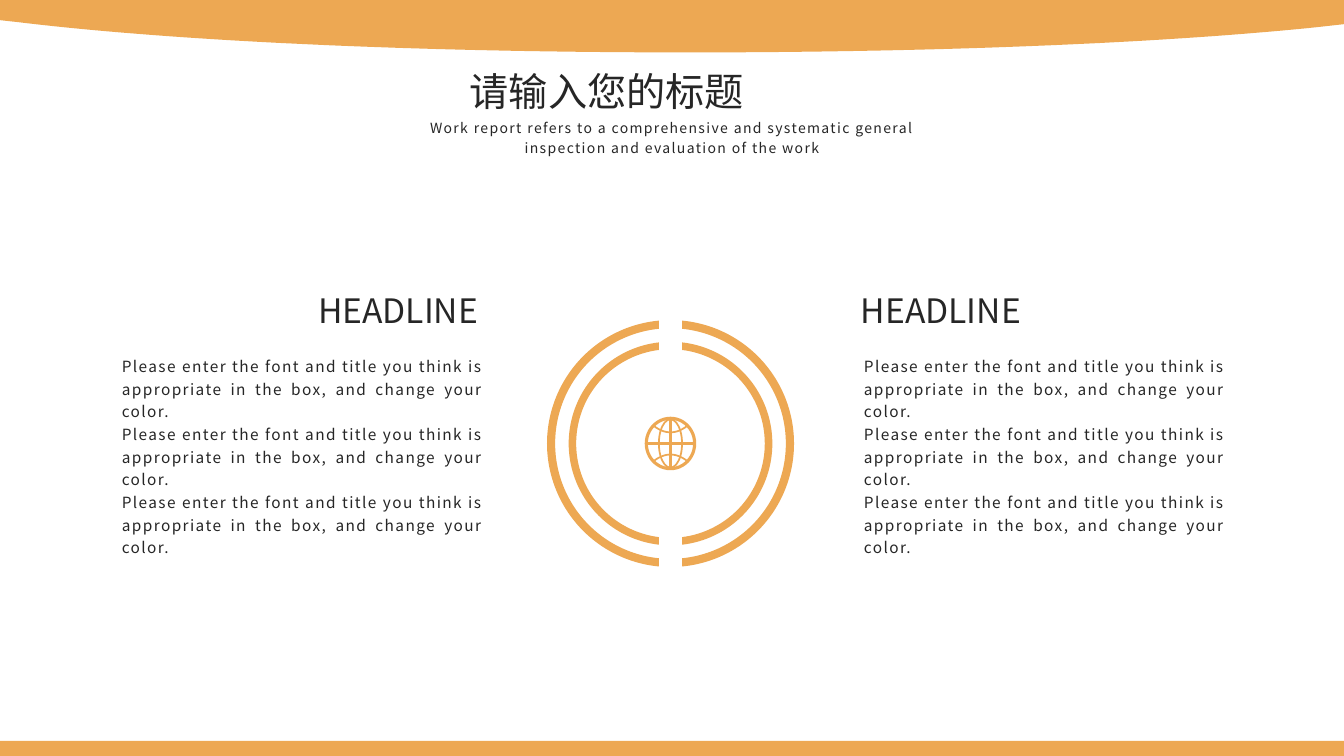
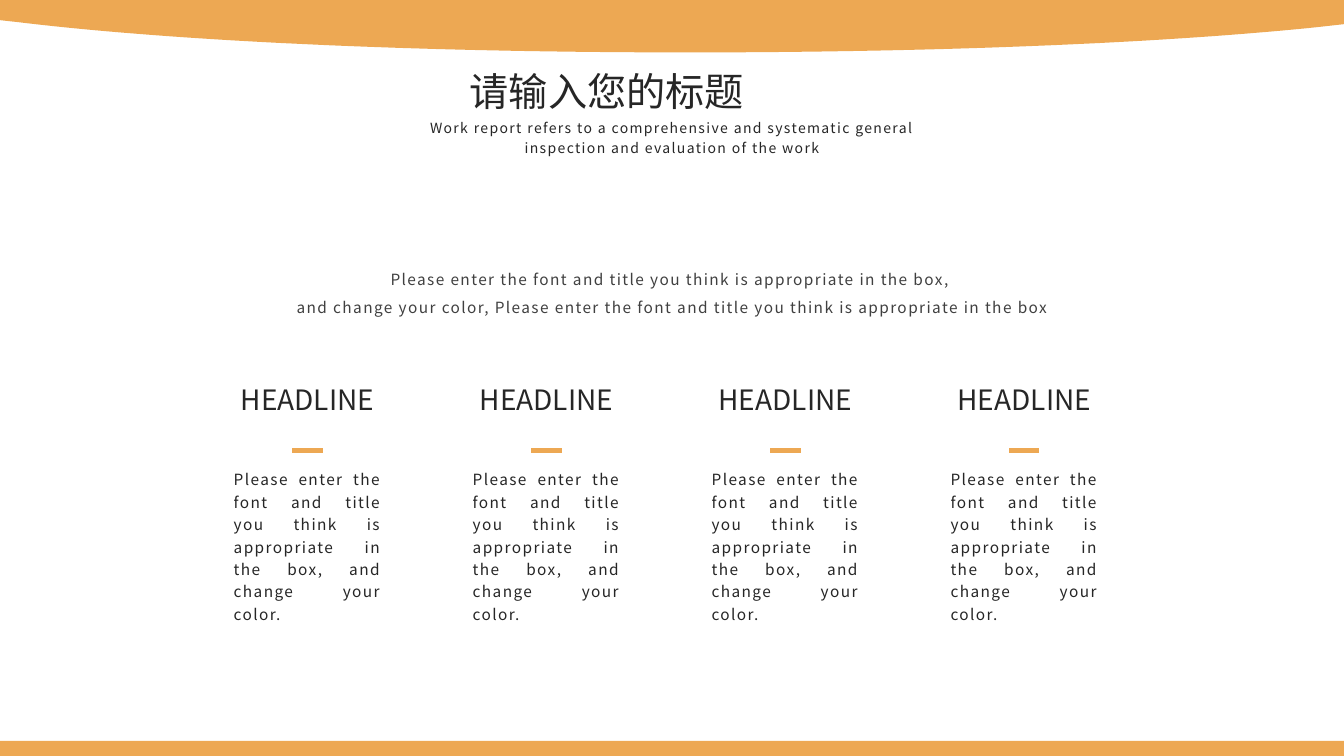
"""Build two orange-banded slides: a ringed globe between two texts, and four headline columns."""
from lxml.etree import SubElement
from pptx import Presentation
from pptx.dml.color import RGBColor
from pptx.enum.shapes import MSO_CONNECTOR, MSO_SHAPE
from pptx.enum.text import MSO_ANCHOR, MSO_AUTO_SIZE, PP_ALIGN
from pptx.oxml.ns import qn
from pptx.util import Inches, Pt

ORANGE = "EDA853"
DARK = "262626"
GREY = "404040"
WHITE = "FFFFFF"
FONT = "Noto Sans CJK SC"
WIDTH, HEIGHT = 13.33, 7.5
BODY = "Please enter the font and title you think is appropriate in the box, and change your color."


def write_text(shape, place, lines, size, alignment, line_height=None, color=DARK):
    """Place a text shape and fill it; text with a fixed line height is letter-spaced."""
    shape.left, shape.top, shape.width, shape.height = [Inches(value) for value in place]
    frame = shape.text_frame
    frame.text = "\n".join(lines)
    frame.word_wrap = True
    frame.auto_size = MSO_AUTO_SIZE.NONE
    frame.vertical_anchor = MSO_ANCHOR.TOP
    for paragraph in frame.paragraphs:
        paragraph.alignment = alignment
        paragraph.font.size = Pt(size)
        paragraph.font.name = FONT
        paragraph.font.color.rgb = RGBColor.from_string(color)
        properties = paragraph._p.get_or_add_pPr().get_or_add_defRPr()
        SubElement(properties, qn("a:ea")).set("typeface", FONT)
        if line_height:
            paragraph.line_spacing = Pt(line_height)
            properties.set("spc", "100")
    return frame


def draw_line(shapes, start, end, color, width):
    """Draw a straight line without a shadow."""
    line = shapes.add_connector(MSO_CONNECTOR.STRAIGHT, *[Inches(value) for value in start + end])
    line.line.color.rgb = RGBColor.from_string(color)
    line.line.width = Pt(width)
    SubElement(line._element.spPr, qn("a:effectLst"))


presentation = Presentation()
presentation.slide_width = Inches(WIDTH)
presentation.slide_height = Inches(HEIGHT)

band_curves = [
    [(0.18, 0.22), (1.76, 0.41), (4.15, 0.52), (6.83, 0.52)],
    [(6.83, 0.52), (9.28, 0.52), (11.5, 0.43), (13.06, 0.27)],
]
band_points = [(0, Inches(0.2))]
for curve in band_curves:
    for step in range(41):
        t = step / 40
        weights = [(1 - t) ** 3, 3 * t * (1 - t) ** 2, 3 * t * t * (1 - t), t ** 3]
        band_points.append([Inches(sum(weight * point[axis] for weight, point in zip(weights, curve)))
                            for axis in (0, 1)])
band_points += [(Inches(WIDTH), Inches(0.24)), (Inches(WIDTH), 0)]

for number in range(2):
    slide = presentation.slides.add_slide(presentation.slide_layouts[5])
    builder = slide.shapes.build_freeform(0, 0)
    builder.add_line_segments(band_points)
    top_band = builder.convert_to_shape()
    bottom_band = slide.shapes.add_shape(
        MSO_SHAPE.RECTANGLE, 0, Inches(7.35), Inches(WIDTH), Inches(HEIGHT - 7.35))
    for band in (top_band, bottom_band):
        band.fill.solid()
        band.fill.fore_color.rgb = RGBColor.from_string(ORANGE)
        band.line.fill.background()
        band.shadow.inherit = False
    write_text(slide.shapes.title, (4.56, 0.62, 4.21, 0.57), ["请输入您的标题"], 28, PP_ALIGN.JUSTIFY)
    write_text(slide.shapes.add_textbox(0, 0, 0, 0), (3.74, 1.11, 5.85, 0.49),
               ["Work report refers to a comprehensive and systematic general inspection and evaluation of the work"],
               10, PP_ALIGN.CENTER, 14)

globe_slide, columns_slide = presentation.slides

emblem = globe_slide.shapes.add_group_shape().shapes
center_x, center_y = 6.65, 4.4
for diameter, thickness in ((2.45, 0.033), (2.02, 0.037)):
    ring = emblem.add_shape(MSO_SHAPE.DONUT, Inches(center_x - diameter / 2), Inches(center_y - diameter / 2),
                            Inches(diameter), Inches(diameter))
    ring.adjustments[0] = thickness
    ring.fill.solid()
    ring.fill.fore_color.rgb = RGBColor.from_string(ORANGE)
    ring.line.fill.background()
    ring.shadow.inherit = False
draw_line(emblem, (center_x, 3.01), (center_x, 6.21), WHITE, 16.25)

globe_outlines = []
for width, height, weight in ((0.48, 0.5, 2.25), (0.23, 0.48, 1.25)):
    oval = emblem.add_shape(MSO_SHAPE.OVAL, Inches(center_x - width / 2), Inches(center_y - height / 2),
                            Inches(width), Inches(height))
    globe_outlines.append((oval, weight))
for side in (-1, 1):
    parallel = []
    for step in range(-8, 9):
        t = step / 8
        parallel.append((Inches(center_x + 0.16 * t), Inches(center_y + side * (0.11 + 0.06 * t * t))))
    builder = emblem.build_freeform(*parallel[0])
    builder.add_line_segments(parallel[1:], close=False)
    globe_outlines.append((builder.convert_to_shape(), 1.25))
for outline, weight in globe_outlines:
    outline.fill.background()
    outline.line.color.rgb = RGBColor.from_string(ORANGE)
    outline.line.width = Pt(weight)
    outline.shadow.inherit = False
draw_line(emblem, (center_x - 0.24, center_y), (center_x + 0.24, center_y), ORANGE, 1.5)
draw_line(emblem, (center_x, center_y - 0.25), (center_x, center_y + 0.25), ORANGE, 1.5)

for headline_left, body_left, alignment in ((2.63, 1.11, PP_ALIGN.RIGHT), (8.44, 8.47, PP_ALIGN.JUSTIFY)):
    write_text(globe_slide.shapes.add_textbox(0, 0, 0, 0), (headline_left, 2.83, 2.21, 0.5),
               ["HEADLINE"], 24, alignment)
    body = write_text(globe_slide.shapes.add_textbox(0, 0, 0, 0), (body_left, 3.46, 3.78, 2.15),
                      [BODY] * 3, 11, PP_ALIGN.JUSTIFY, 16)
    for paragraph in body.paragraphs[:-1]:
        paragraph.space_after = Pt(0.5)

write_text(columns_slide.shapes.add_textbox(0, 0, 0, 0), (2.75, 2.54, 7.84, 0.66),
           ["Please enter the font and title you think is appropriate in the box, ",
            "and change your color, Please enter the font and title you think is appropriate in the box"],
           11, PP_ALIGN.CENTER, 20, GREY)
for index in range(4):
    left = 2.22 + 2.37 * index
    column = columns_slide.shapes.add_group_shape().shapes
    write_text(column.add_textbox(0, 0, 0, 0), (left, 3.75, 1.66, 0.44), ["HEADLINE"], 20, PP_ALIGN.CENTER)
    draw_line(column, (left + 0.68, 4.47), (left + 0.98, 4.47), ORANGE, 3)
    write_text(column.add_textbox(0, 0, 0, 0), (left, 4.58, 1.66, 1.66), [BODY], 11, PP_ALIGN.JUSTIFY, 16)

presentation.save("out.pptx")
